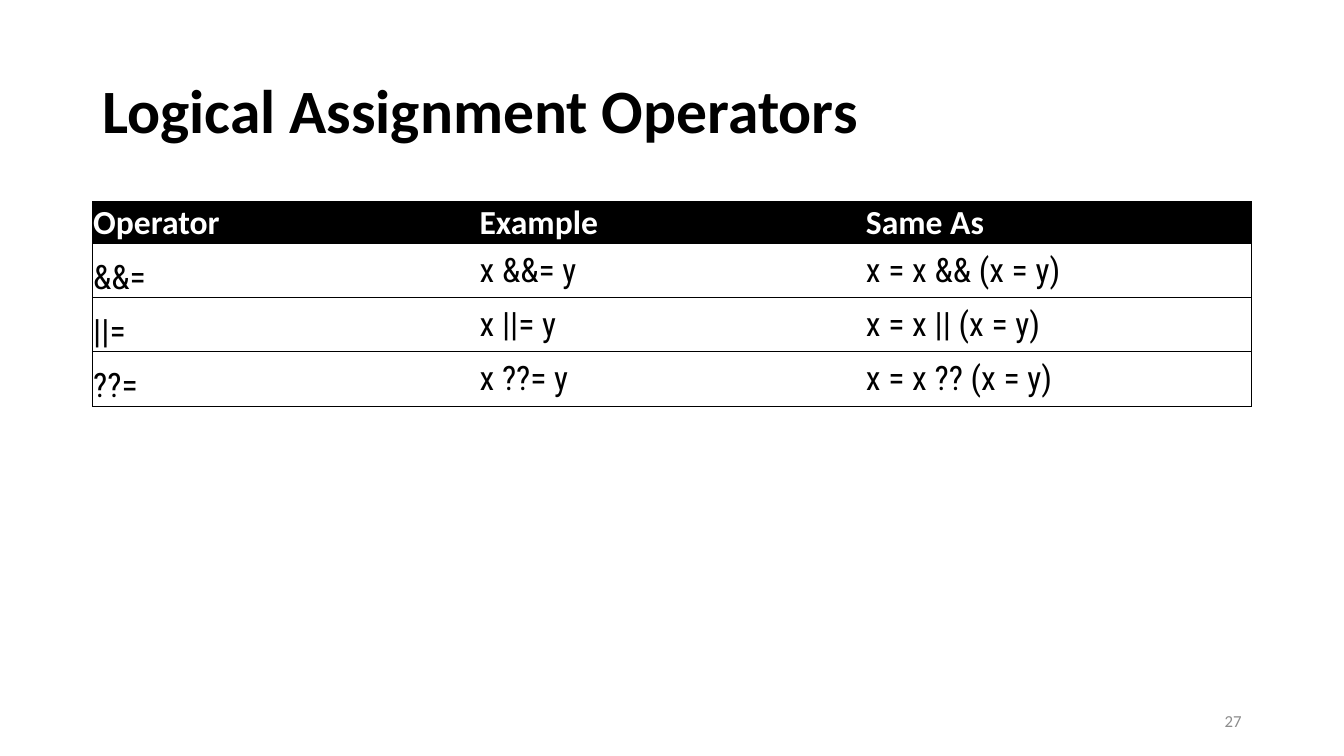
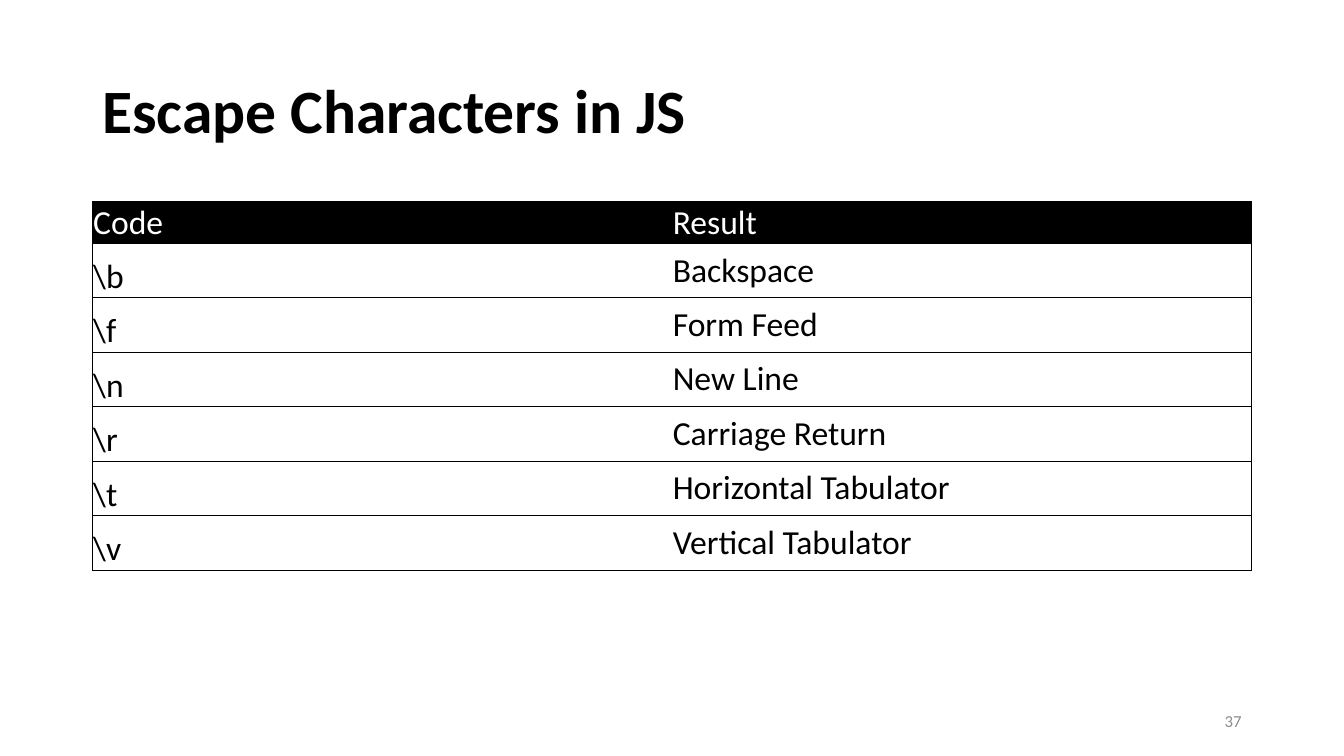
from lxml.etree import SubElement
from pptx import Presentation
from pptx.dml.color import RGBColor as RGB
from pptx.enum.text import MSO_ANCHOR as Anchor, PP_ALIGN as Align
from pptx.oxml.ns import qn
from pptx.util import Pt

BLACK = RGB(0, 0, 0)
WHITE = RGB(255, 255, 255)
GRAY = RGB(0x8C, 0x8C, 0x8C)

LEFT, WIDTH = 66, 828
HEAD = 29.7

TITLE = {"name": "Calibri", "size": Pt(44), "bold": True}
FOOT = {"name": "Calibri", "size": Pt(12), "bold": False}

PAGES = [
    {
        "title": "Logical Assignment Operators",
        "number": "27",
        "bold": True,
        "font": "Roboto Condensed",
        "height": 37.8,
        "rows": [
            ("Operator", "Example", "Same As"),
            ("&&=", "x &&= y", "x = x && (x = y)"),
            ("||=", "x ||= y", "x = x || (x = y)"),
            ("??=", "x ??= y", "x = x ?? (x = y)"),
        ],
    },
    {
        "title": "Escape Characters in JS",
        "number": "37",
        "bold": False,
        "font": "Calibri",
        "height": 38.9,
        "rows": [
            ("Code", "Result"),
            ("\\b", "Backspace"),
            ("\\f", "Form Feed"),
            ("\\n", "New Line"),
            ("\\r", "Carriage Return"),
            ("\\t", "Horizontal Tabulator"),
            ("\\v", "Vertical Tabulator"),
        ],
    },
]


def style(para, text, color, form):
    run = para.add_run()
    run.text = text
    for key, value in form.items():
        setattr(run.font, key, value)
    run.font.color.rgb = color


def border(cell, sides):
    props = cell._tc.get_or_add_tcPr()
    for side in "LRTB":
        line = SubElement(props, qn(f"a:ln{side}"), w=str(Pt(0.5)))
        if side in sides:
            fill = SubElement(line, qn("a:solidFill"))
            SubElement(fill, qn("a:srgbClr"), val=str(BLACK))
        else:
            SubElement(line, qn("a:noFill"))


deck = Presentation()
deck.slide_width, deck.slide_height = Pt(960), Pt(540)

for page in PAGES:
    slide = deck.slides.add_slide(deck.slide_layouts[6])
    shapes = slide.shapes

    labels = [
        (page["title"], (LEFT, 28.75, WIDTH, 104.4), Align.LEFT, 0.9, BLACK, TITLE),
        (page["number"], (678, 500.5, 216, 28.75), Align.RIGHT, 1, GRAY, FOOT),
    ]
    for text, place, align, space, color, form in labels:
        frame = shapes.add_textbox(*map(Pt, place)).text_frame
        frame.word_wrap = True
        frame.vertical_anchor = Anchor.MIDDLE
        para = frame.paragraphs[0]
        para.alignment = align
        para.line_spacing = space
        style(para, text, color, form)

    rows = page["rows"]
    count = len(rows[0])
    high = HEAD + page["height"] * (len(rows) - 1)
    table = shapes.add_table(
        len(rows), count, Pt(LEFT), Pt(144), Pt(WIDTH), Pt(high)
    ).table
    table.horz_banding = False
    for col in table.columns:
        col.width = Pt(WIDTH / count)

    for r, row in enumerate(rows):
        top = r == 0
        table.rows[r].height = Pt(HEAD if top else page["height"])
        form = {
            "name": "Calibri" if top else page["font"],
            "size": Pt(24),
            "bold": top and page["bold"],
        }
        for c, text in enumerate(row):
            cell = table.cell(r, c)
            tight = top or c == 0
            look = {
                "vertical_anchor": Anchor.BOTTOM,
                "margin_left": Pt(0.6),
                "margin_right": Pt(0.6),
                "margin_top": Pt(0.6 if tight else 5),
                "margin_bottom": Pt(0 if tight else 5),
            }
            for key, value in look.items():
                setattr(cell, key, value)
            border(cell, "TB" + "L" * (c == 0) + "R" * (c == count - 1))
            cell.fill.solid()
            cell.fill.fore_color.rgb = BLACK if top else WHITE
            style(cell.text_frame.paragraphs[0], text, WHITE if top else BLACK, form)

deck.save("out.pptx")
